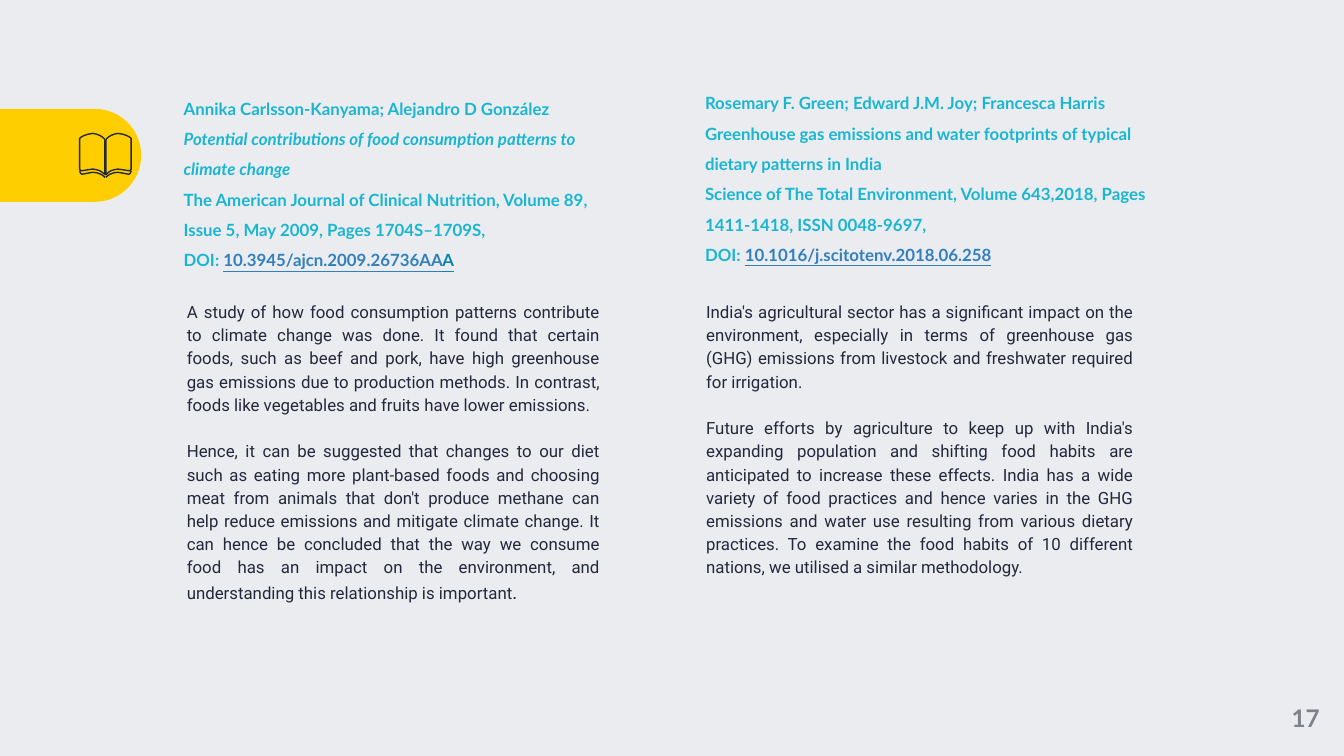
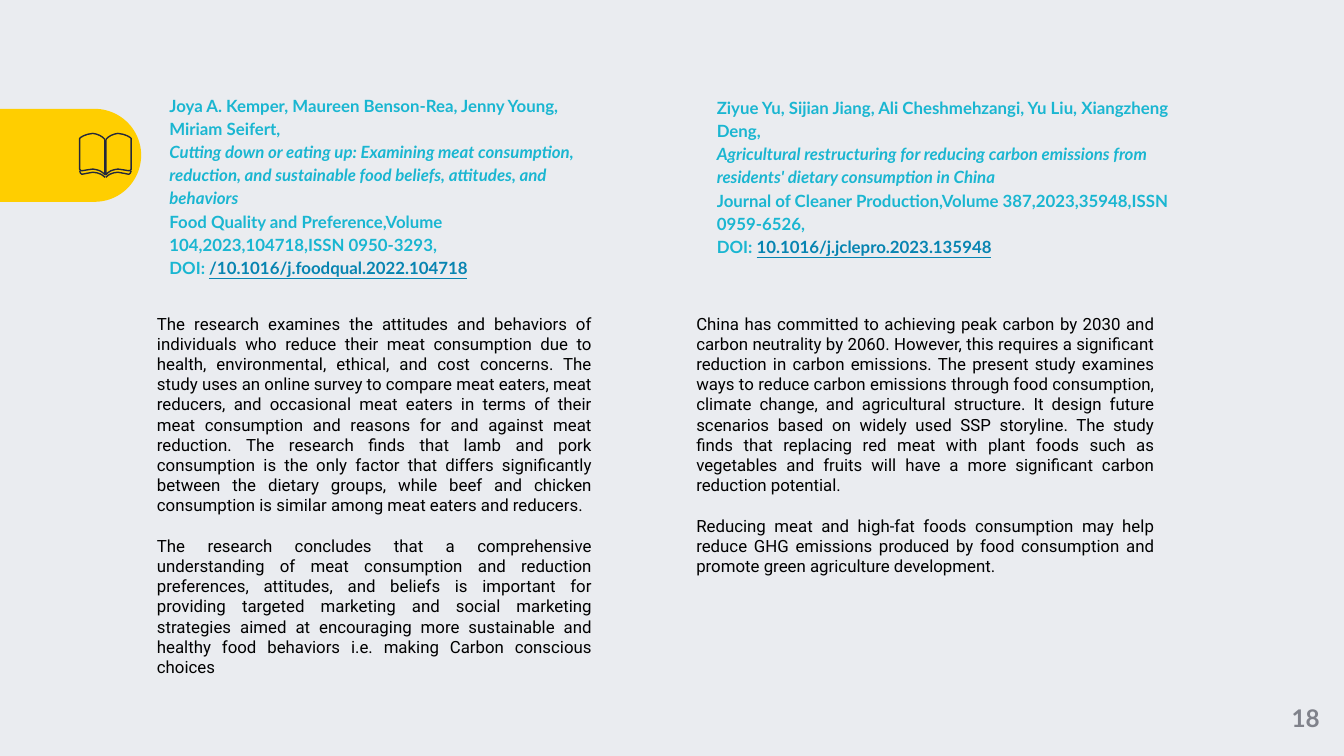
from dataclasses import dataclass

from pptx import Presentation
from pptx.dml.color import RGBColor
from pptx.enum.shapes import MSO_SHAPE
from pptx.enum.text import MSO_ANCHOR, PP_ALIGN
from pptx.util import Pt

# Shared look
BACKGROUND, BAND, INK, BLACK = "EAECF0", "FFCE00", "24283B", "000000"
CYAN, LINK_BLUE, LINK_TEAL, GREY = "1AB6D1", "3180BD", "0784B1", "80828B"
HEADING_FONT, BODY_FONT = "Lato", "Roboto"
TEXT_SIZE = 9
LINE_HEIGHT = 10.8
CITATION_HEIGHT, SUMMARY_HEIGHT = 67, 237

# Left half of the book icon: (distance from spine, height on slide)
SPINE_X = 56.5
PAGE = [(0.25, 75.4), (0.25, 93.6), (1.4, 92.5), (3, 91.5), (5, 90.9), (6.7, 90.6),
        (9.5, 91), (12.3, 91.5), (13.2, 91.4), (13.8, 90.7), (13.8, 74.2),
        (13.2, 73.6), (11.5, 72.7), (9.5, 72), (6.7, 71.5), (4.8, 71.9),
        (3, 72.6), (1.4, 73.6), (0.5, 74.5)]
COVER = [(13.8, 91.4), (13.4, 92.7), (12.6, 93.4), (9.5, 92.8), (6.7, 92.3),
         (4.5, 92.6), (2.5, 93.3), (1.4, 94), (0.2, 95)]


@dataclass
class Run:
    text: str
    color: str = CYAN
    font: str = HEADING_FONT
    size: float = TEXT_SIZE
    bold: bool = False
    italic: bool = False
    underline: bool = False


@dataclass
class Box:
    left: float
    top: float
    width: float
    height: float
    paragraphs: list[list[Run]]
    spacing: float = 1.0
    gap: float = 0
    indent: float = 0
    align: PP_ALIGN = PP_ALIGN.LEFT
    anchor: MSO_ANCHOR = MSO_ANCHOR.MIDDLE


@dataclass
class Page:
    number: int
    boxes: list[Box]


def rgb(value: str) -> RGBColor:
    return RGBColor.from_string(value)


def head(text: str, **style) -> Run:
    return Run(text, bold=True, **style)


def link(text: str, color: str) -> Run:
    return head(text, color=color, underline=True)


def citation(left: float, top: float, width: float, spacing: float,
             lines: list[Run], doi: list[Run]) -> Box:
    paragraphs = [[line] for line in lines] + [[head("DOI: "), *doi]]
    return Box(left, top, width, CITATION_HEIGHT, paragraphs, spacing)


def summary(left: float, top: float, width: float, color: str, texts: list[str],
            spacing: float = 1.0, indent: float = 0) -> Box:
    paragraphs = [[Run(text, color, BODY_FONT)] for text in texts]
    return Box(left, top, width, SUMMARY_HEIGHT, paragraphs, spacing,
               LINE_HEIGHT * spacing, indent, PP_ALIGN.JUSTIFY, MSO_ANCHOR.TOP)


def draw_box(slide, box: Box) -> None:
    sp = slide.shapes.add_textbox(Pt(box.left), Pt(box.top), Pt(box.width), Pt(box.height))
    tf = sp.text_frame
    tf.word_wrap = True
    tf.vertical_anchor = box.anchor
    tf.margin_top = tf.margin_right = tf.margin_bottom = 0
    tf.margin_left = Pt(box.indent)
    for i, runs in enumerate(box.paragraphs):
        p = tf.add_paragraph() if i else tf.paragraphs[0]
        p.alignment = box.align
        p.line_spacing = box.spacing
        if i and box.gap:
            p.space_before = Pt(box.gap)
        for run in runs:
            r = p.add_run()
            r.text = run.text
            r.font.name = run.font
            r.font.size = Pt(run.size)
            r.font.bold = run.bold
            r.font.italic = run.italic
            r.font.underline = run.underline
            r.font.color.rgb = rgb(run.color)


def draw_band(slide) -> None:
    sp = slide.shapes.add_shape(MSO_SHAPE.ROUND_2_SAME_RECTANGLE,
                                Pt(12.9), Pt(45.4), Pt(49.8), Pt(75.6))
    sp.rotation = 90
    sp.adjustments[0] = 0.5
    sp.shadow.inherit = False
    sp.fill.solid()
    sp.fill.fore_color.rgb = rgb(BAND)
    sp.line.fill.background()


def draw_book(slide) -> None:
    group = slide.shapes.add_group_shape()
    for outline, closed in ((COVER, False), (PAGE, True)):
        for side in (-1, 1):
            points = [(Pt(SPINE_X + side * dx), Pt(y)) for dx, y in outline]
            builder = group.shapes.build_freeform(*points[0], scale=1.0)
            builder.add_line_segments(points[1:], close=closed)
            sp = builder.convert_to_shape()
            sp.shadow.inherit = False
            sp.fill.background()
            sp.line.color.rgb = rgb(INK)
            sp.line.width = Pt(0.75)


def draw_page(prs, page: Page) -> None:
    slide = prs.slides.add_slide(prs.slide_layouts[6])
    draw_band(slide)
    draw_book(slide)
    for box in page.boxes:
        draw_box(slide, box)
    number = head(str(page.number), color=GREY, size=13)
    draw_box(slide, Box(679, 364.3, 41, 40.5, [[number]], align=PP_ALIGN.CENTER))


# Slide 17: diet and climate, footprints in India
diet_summary = summary(91.5, 160, 229.5, INK, [
    "A study of how food consumption patterns contribute to climate change was done. "
    "It found that certain foods, such as beef and pork, have high greenhouse gas "
    "emissions due to production methods. In contrast, foods like vegetables and "
    "fruits have lower emissions.",
    "Hence, it can be suggested that changes to our diet such as eating more "
    "plant-based foods and choosing meat from animals that don't produce methane can "
    "help reduce emissions and mitigate climate change. It can hence be concluded that "
    "the way we consume food has an impact on the environment, and understanding this "
    "relationship is important",
], 1.15, 8.6)
diet_summary.paragraphs[-1].append(Run(".", INK, "Arial", 10))

page_17 = Page(17, [
    citation(98.4, 62.6, 237, 1.5, [
        head("Annika Carlsson-Kanyama; Alejandro D González"),
        head("Potential contributions of food consumption patterns to climate change",
             italic=True),
        head("The American Journal of Clinical Nutrition, Volume 89, Issue 5, May 2009, "
             "Pages 1704S–1709S,"),
    ], [link("10.3945/ajcn.2009.26736AA", LINK_BLUE), link("A", LINK_TEAL)]),
    diet_summary,
    citation(377.7, 59.7, 237, 1.5, [
        head("Rosemary F. Green; Edward J.M. Joy; Francesca Harris"),
        head("Greenhouse gas emissions and water footprints of typical dietary patterns "
             "in India"),
        head("Science of The Total Environment, Volume 643,2018, Pages 1411-1418, "
             "ISSN 0048-9697,"),
    ], [link("10.1016/j.scitotenv.2018.06.258", LINK_BLUE)]),
    summary(369.7, 160, 237, INK, [
        "India's agricultural sector has a significant impact on the environment, "
        "especially in terms of greenhouse gas (GHG) emissions from livestock and "
        "freshwater required for irrigation.",
        "Future efforts by agriculture to keep up with India's expanding population and "
        "shifting food habits are anticipated to increase these effects. India has a "
        "wide variety of food practices and hence varies in the GHG emissions and water "
        "use resulting from various dietary practices. To examine the food habits of 10 "
        "different nations, we utilised a similar methodology.",
    ], 1.15, 8.6),
])

# Slide 18: meat reduction, farming in China
page_18 = Page(18, [
    citation(90.8, 65.7, 232.6, 1.15, [
        head("Joya A. Kemper, Maureen Benson-Rea, Jenny Young, Miriam Seifert,"),
        head("Cutting down or eating up: Examining meat consumption, reduction, and "
             "sustainable food beliefs, attitudes, and behaviors", italic=True),
        head("Food Quality and Preference,Volume 104,2023,104718,ISSN 0950-3293,"),
    ], [link("/10.1016/j.foodqual.2022.104718", LINK_TEAL)]),
    summary(84.1, 167.8, 232.6, BLACK, [
        "The research examines the attitudes and behaviors of individuals who reduce "
        "their meat consumption due to health, environmental, ethical, and cost "
        "concerns. The study uses an online survey to compare meat eaters, meat "
        "reducers, and occasional meat eaters in terms of their meat consumption and "
        "reasons for and against meat reduction. The research finds that lamb and pork "
        "consumption is the only factor that differs significantly between the dietary "
        "groups, while beef and chicken consumption is similar among meat eaters and "
        "reducers.",
        "The research concludes that a comprehensive understanding of meat consumption "
        "and reduction preferences, attitudes, and beliefs is important for providing "
        "targeted marketing and social marketing strategies aimed at encouraging more "
        "sustainable and healthy food behaviors i.e. making Carbon conscious choices",
    ]),
    citation(384, 60.6, 245, 1.15, [
        head("Ziyue Yu, Sijian Jiang, Ali Cheshmehzangi, Yu Liu, Xiangzheng Deng,"),
        head("Agricultural restructuring for reducing carbon emissions from residents' "
             "dietary consumption in China", italic=True),
        head("Journal of Cleaner Production,Volume 387,2023,35948,ISSN 0959-6526,"),
    ], [link("10.1016/j.jclepro.2023.135948", LINK_TEAL)]),
    summary(373, 167.8, 245, BLACK, [
        "China has committed to achieving peak carbon by 2030 and carbon neutrality by "
        "2060. However, this requires a significant reduction in carbon emissions. The "
        "present study examines ways to reduce carbon emissions through food "
        "consumption, climate change, and agricultural structure. It design future "
        "scenarios based on widely used SSP storyline. The study finds that replacing "
        "red meat with plant foods such as vegetables and fruits will have a more "
        "significant carbon reduction potential.",
        "Reducing meat and high-fat foods consumption may help reduce GHG emissions "
        "produced by food consumption and promote green agriculture development.",
    ]),
])


def main() -> None:
    prs = Presentation()
    prs.slide_width, prs.slide_height = Pt(720), Pt(405)
    fill = prs.slide_master.background.fill
    fill.solid()
    fill.fore_color.rgb = rgb(BACKGROUND)
    for page in (page_17, page_18):
        draw_page(prs, page)
    prs.save("out.pptx")


if __name__ == "__main__":
    main()
